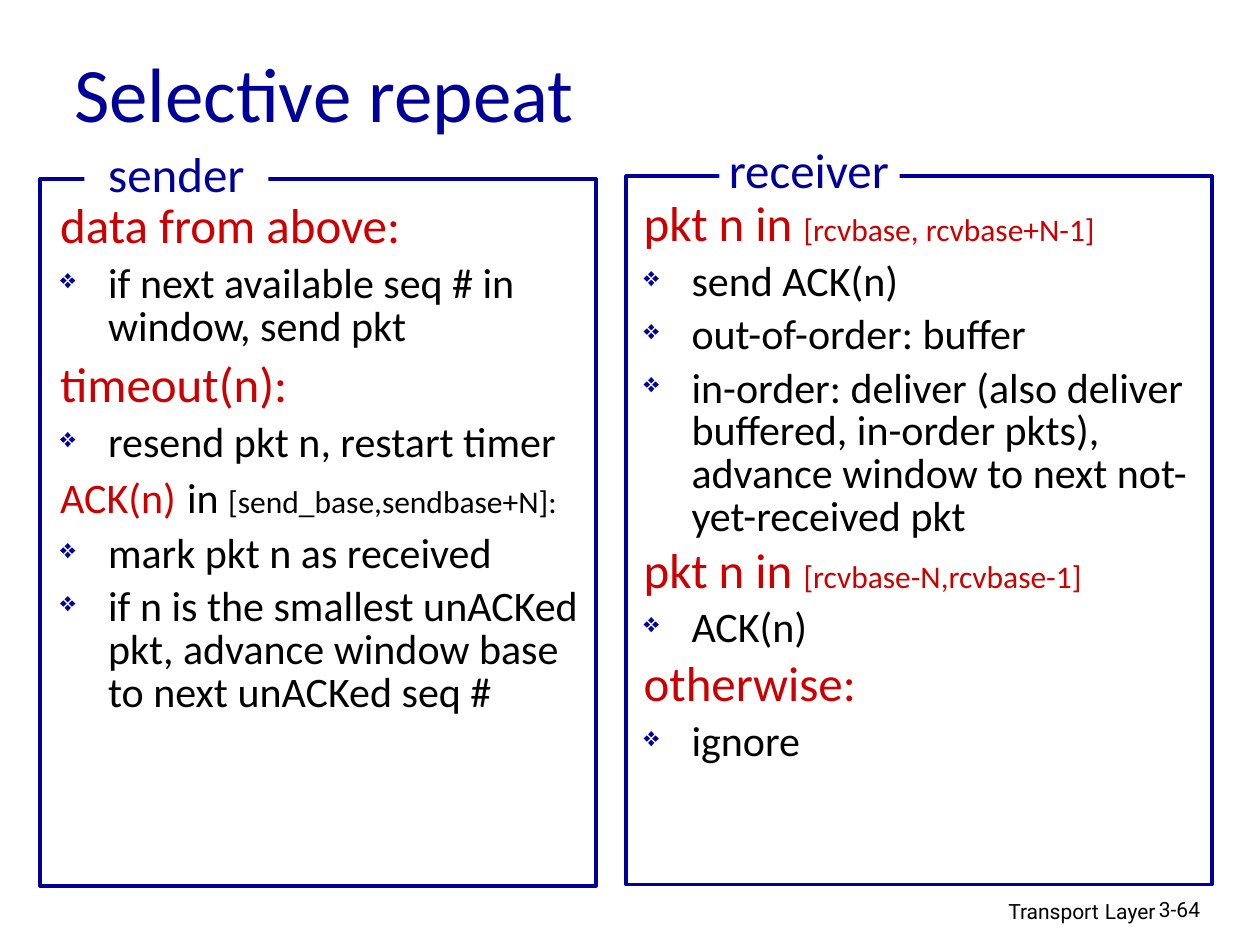
import pptx
import pptx.util
import pptx.dml.color
import pptx.enum.shapes
import pptx.enum.text
import pptx.oxml
import pptx.oxml.ns
from pptx.util import Inches

NAVY, RED, BLACK, WHITE = "000099", "CC0000", "000000", "FFFFFF"
ALIGN = pptx.enum.text.PP_ALIGN
ANCHOR = pptx.enum.text.MSO_ANCHOR


def color(value):
    """Turn a hex string into a colour."""
    return pptx.dml.color.RGBColor.from_string(value)


def write(paragraph, text, size=24, fill=BLACK, font="Calibri"):
    """Append formatted text to a paragraph."""
    run = paragraph.add_run()
    run.text = text
    run.font.size = pptx.util.Pt(size)
    run.font.name = font
    run.font.color.rgb = color(fill)


class SlideBuilder:
    """Hold the style and the current slide."""

    bullet = "❖"
    indent = Inches(0.38)
    line_spacing = 0.85

    def __init__(self, slide):
        """Keep the slide to draw on."""
        self.slide = slide

    def frame(self, left, top, width, height, wrap=True, anchor=ANCHOR.TOP):
        """Add a text box and return its text frame."""
        box = self.slide.shapes.add_textbox(Inches(left), Inches(top), Inches(width), Inches(height))
        box.text_frame.word_wrap = wrap
        box.text_frame.vertical_anchor = anchor
        return box.text_frame

    def line(self, area, *runs, align=ALIGN.LEFT, **layout):
        """Add a text box with a single line made of runs."""
        paragraph = self.frame(*area, **layout).paragraphs[0]
        paragraph.alignment = align
        for text, style in runs:
            write(paragraph, text, **style)

    def rectangle(self, area, fill=None, outline=None):
        """Add a plain rectangle."""
        shape = self.slide.shapes.add_shape(
            pptx.enum.shapes.MSO_SHAPE.RECTANGLE, *map(Inches, area))
        shape.shadow.inherit = False
        if fill:
            shape.fill.solid()
            shape.fill.fore_color.rgb = color(fill)
        else:
            shape.fill.background()
        if outline:
            shape.line.color.rgb = color(outline)
            shape.line.width = pptx.util.Pt(2.25)
        else:
            shape.line.fill.background()

    def add_bullet(self, paragraph):
        """Give a paragraph a hanging navy bullet."""
        properties = paragraph._p.get_or_add_pPr()
        properties.set("marL", str(self.indent))
        properties.set("indent", str(-self.indent))
        namespace = pptx.oxml.ns.nsdecls("a")
        for element in (f'<a:buClr {namespace}><a:srgbClr val="{NAVY}"/></a:buClr>',
                        f'<a:buSzPct {namespace} val="65000"/>',
                        f'<a:buChar {namespace} char="{self.bullet}"/>'):
            properties.append(pptx.oxml.parse_xml(element))

    def events(self, area, entries):
        """Add event headings, each followed by its bulleted actions."""
        frame = self.frame(*area)
        for number, (before, runs) in enumerate(entries):
            paragraph = frame.add_paragraph() if number else frame.paragraphs[0]
            paragraph.line_spacing = self.line_spacing
            if number:
                paragraph.space_before = pptx.util.Pt(before)
            if isinstance(runs, str):
                self.add_bullet(paragraph)
                write(paragraph, runs)
            else:
                for text, size, fill in runs:
                    write(paragraph, text, size=size, fill=fill)

    def panel(self, border, gap, label, name, text_area, entries):
        """Add a bordered panel whose name interrupts the top edge."""
        self.events(text_area, entries)
        self.rectangle(border, outline=NAVY)
        self.rectangle(gap, fill=WHITE)
        self.line(label, (name, dict(size=28, fill=NAVY)), align=ALIGN.CENTER, wrap=False)


def action(text):
    """Describe a bulleted action."""
    return 6, text


def heading(*runs, before=7):
    """Describe an event heading."""
    return before, runs


SENDER = [
    heading(("data from above:", 28, RED)),
    action("if next available seq # in window, send pkt"),
    heading(("timeout(n):", 28, RED)),
    action("resend pkt n, restart timer"),
    heading(("ACK(n)", 24, RED), (" ", 28, RED), ("in ", 24, BLACK),
            ("[send_base,sendbase+N]:", 18, BLACK), before=4.5),
    action("mark pkt n as received"),
    action("if n is the smallest unACKed pkt, advance window base to next unACKed seq #"),
]
RECEIVER = [
    heading(("pkt n in ", 28, RED), ("[rcvbase, rcvbase+N-1]", 18, RED)),
    action("send ACK(n)"),
    action("out-of-order: buffer"),
    action("in-order: deliver (also deliver buffered, in-order pkts), "
           "advance window to next not-yet-received pkt"),
    heading(("pkt n in ", 28, RED), ("[rcvbase-N,rcvbase-1]", 18, RED), before=4.5),
    action("ACK(n)"),
    heading(("otherwise:", 28, RED), before=6),
    action("ignore"),
]


def main():
    """Build and save the slide."""
    deck = pptx.Presentation()
    deck.slide_width, deck.slide_height = Inches(10), Inches(7.5)
    builder = SlideBuilder(deck.slides.add_slide(deck.slide_layouts[6]))
    footer = dict(size=12, font="Roboto")
    builder.line((6.1, 7.05, 3.17, 0.31), ("Transport", footer),
                 (" ", dict(size=14, font="Roboto")), ("Layer", footer), align=ALIGN.RIGHT)
    builder.line((9.1, 7.07, 0.74, 0.3), ("3-64", footer))
    builder.line((0.49, 0.27, 8.5, 0.92), ("Selective repeat", dict(size=44, fill=NAVY)),
                 anchor=ANCHOR.MIDDLE)
    sender_label = (0.67, 1.09, 1.46, 0.57)
    builder.panel((0.32, 1.42, 4.41, 5.61), sender_label, sender_label, "sender",
                  (0.38, 1.57, 4.37, 5.53), SENDER)
    builder.panel((4.97, 1.4, 4.65, 5.62), (5.71, 1.24, 1.43, 0.31), (5.59, 1.06, 1.66, 0.57),
                  "receiver", (5.01, 1.55, 4.62, 5.08), RECEIVER)
    deck.save("out.pptx")


if __name__ == "__main__":
    main()
